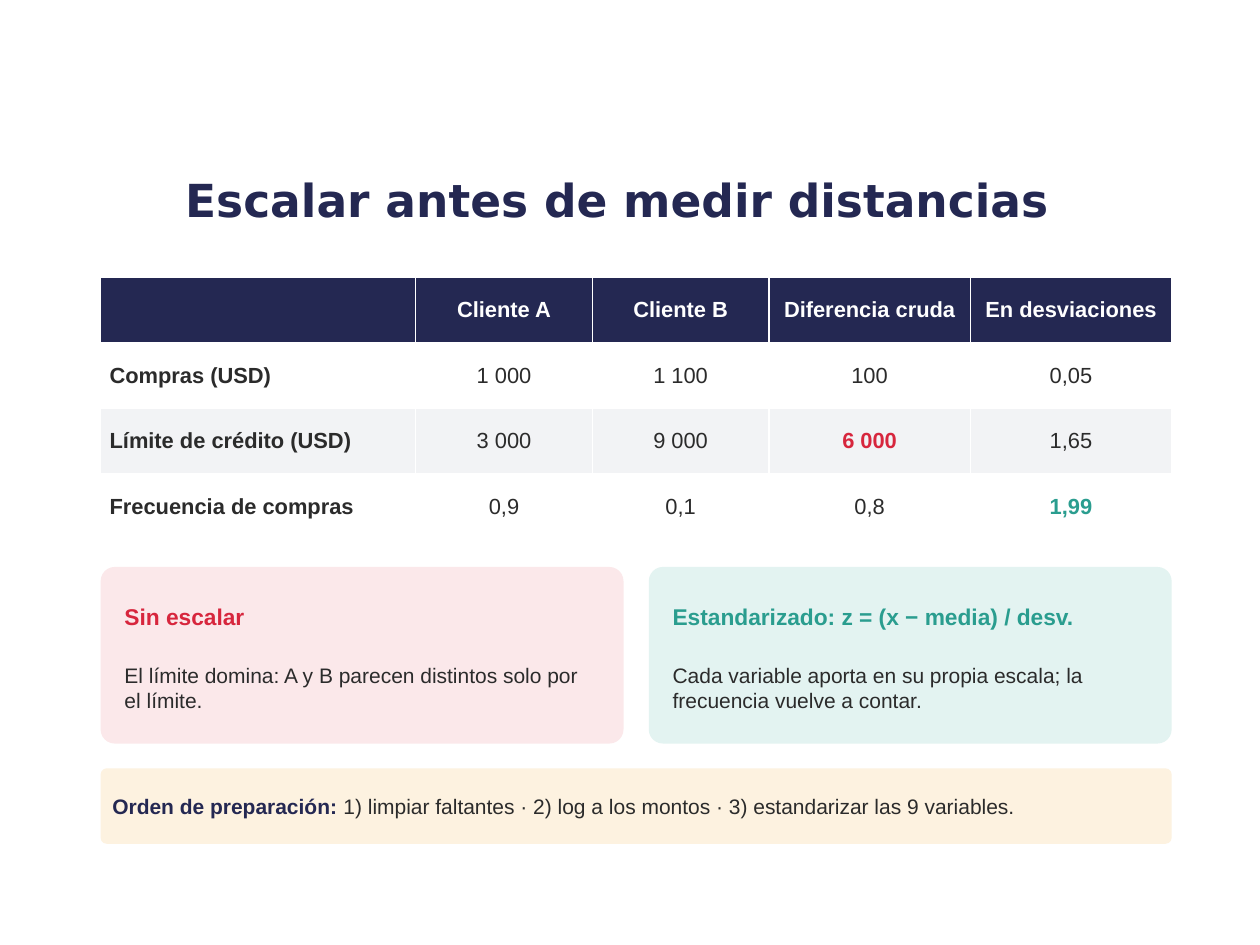
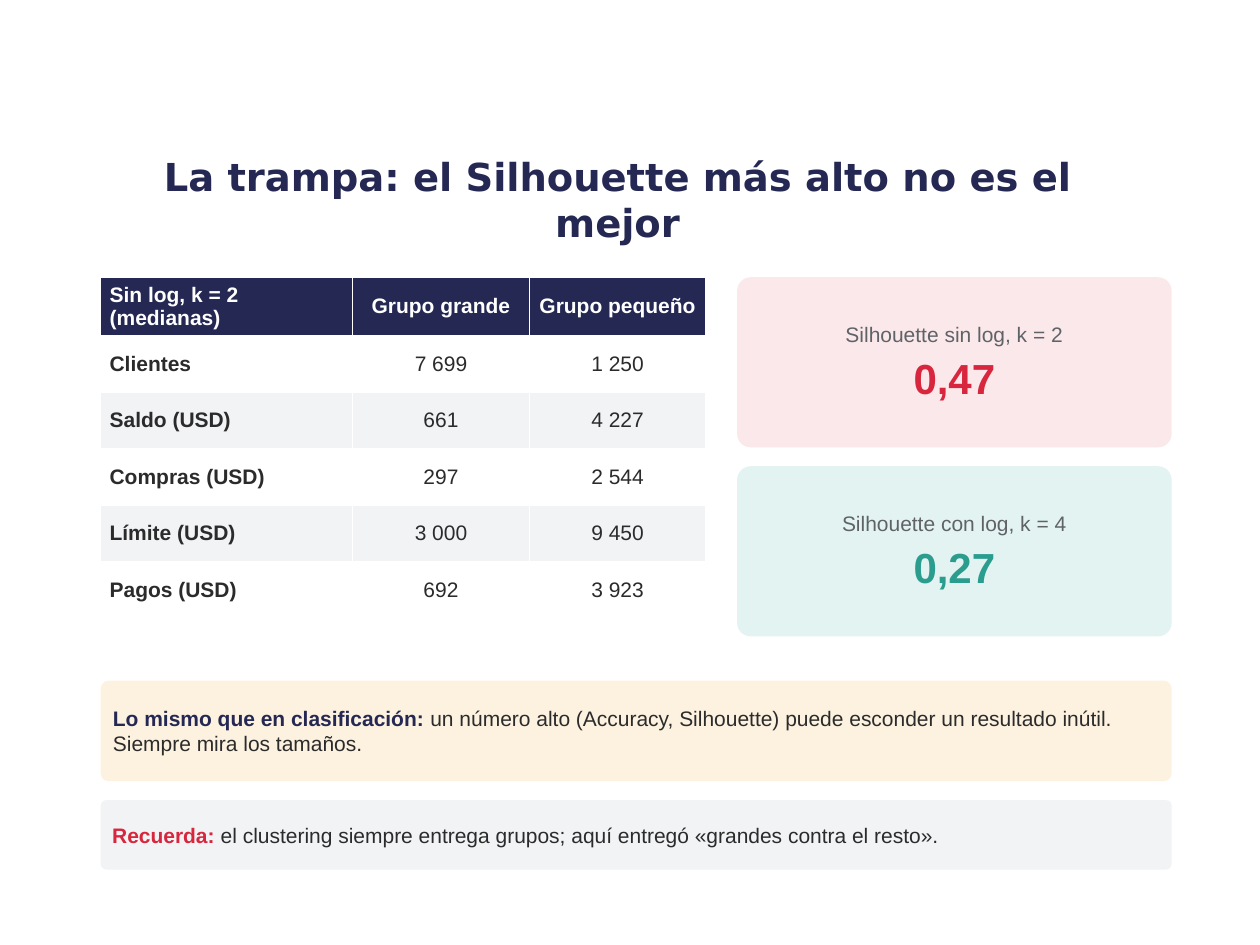
"""Build two slides on scaling variables and on the Silhouette trap."""
from dataclasses import dataclass

from pptx import Presentation
from pptx.dml.color import RGBColor
from pptx.enum.shapes import MSO_SHAPE
from pptx.enum.text import MSO_ANCHOR, MSO_AUTO_SIZE, PP_ALIGN
from pptx.util import Cm, Pt


@dataclass(frozen=True)
class Theme:
    """Colours, fonts, type sizes and shared measures in centimetres."""
    navy: str = "242852"
    ink: str = "2B2B2B"
    muted: str = "5F6368"
    white: str = "FFFFFF"
    grey: str = "F2F3F5"
    red: str = "D7263D"
    pink: str = "FBE8EA"
    teal: str = "2A9D8F"
    mint: str = "E3F3F1"
    cream: str = "FDF2E0"
    title_font: str = "DejaVu Sans"
    body_font: str = "Arial"
    body_size: float = 12
    heading_size: float = 13
    figure_size: float = 24
    left: float = 2.03
    top: float = 5.59
    width: float = 21.59


def write(para, text, font, size, color, bold=False):
    """Add one formatted span to a paragraph."""
    span = para.add_run()
    span.text = text
    span.font.name = font
    span.font.size = Pt(size)
    span.font.bold = bold
    span.font.color.rgb = RGBColor.from_string(color)


def set_margins(target, horizontal, vertical):
    """Set the inner margins of a text frame or a table cell."""
    target.margin_left = target.margin_right = Cm(horizontal)
    target.margin_top = target.margin_bottom = Cm(vertical)


class Slides:
    """Hold the theme and the current page, and add elements to it."""

    def __init__(self, theme):
        """Start an empty deck."""
        self.theme = theme
        self.deck = Presentation()
        self.deck.slide_width, self.deck.slide_height = Cm(25.4), Cm(19.05)
        self.page = None

    def start(self, title, size):
        """Open a new page with its title."""
        self.page = self.deck.slides.add_slide(self.deck.slide_layouts[6])
        frame = self.text_frame(1.91, 3, 21.08, 2.03, margins=(0.25, 0.13))
        para = frame.paragraphs[0]
        para.alignment = PP_ALIGN.CENTER
        write(para, title, self.theme.title_font, size, self.theme.navy, bold=True)

    def text_frame(self, left, top, width, height, margins, anchor=MSO_ANCHOR.MIDDLE):
        """Add a wrapping text box and return its frame."""
        box = self.page.shapes.add_textbox(Cm(left), Cm(top), Cm(width), Cm(height))
        frame = box.text_frame
        frame.word_wrap = True
        frame.vertical_anchor = anchor
        set_margins(frame, *margins)
        return frame

    def label(self, text, left, top, width, height, anchor, **style):
        """Add a one-paragraph text box that grows with its text."""
        frame = self.text_frame(left, top, width, height, (0.1, 0.1), anchor)
        frame.auto_size = MSO_AUTO_SIZE.SHAPE_TO_FIT_TEXT
        para = frame.paragraphs[0]
        para.space_after = Pt(4)
        write(para, text, self.theme.body_font, **style)

    def panel(self, left, top, width, height, fill):
        """Add a rounded panel and return its text frame."""
        box = self.page.shapes.add_shape(
            MSO_SHAPE.ROUNDED_RECTANGLE, Cm(left), Cm(top), Cm(width), Cm(height))
        box.adjustments[0] = 0.08
        box.shadow.inherit = False
        box.fill.solid()
        box.fill.fore_color.rgb = RGBColor.from_string(fill)
        box.line.fill.background()
        frame = box.text_frame
        frame.word_wrap = True
        frame.vertical_anchor = MSO_ANCHOR.MIDDLE
        set_margins(frame, 0.2, 0.2)
        return frame

    def card(self, heading, body, left, color, fill):
        """Add a panel with a coloured heading over body text."""
        theme, top = self.theme, 11.43
        self.panel(left, top, 10.54, 3.56, fill)
        self.label(heading, left + 0.38, top + 0.3, 9.91, 1.4, MSO_ANCHOR.MIDDLE,
                   size=theme.heading_size, color=color, bold=True)
        self.label(body, left + 0.38, top + 1.83, 9.78, 1.52, MSO_ANCHOR.TOP,
                   size=theme.body_size, color=theme.ink)

    def metric(self, caption, figure, top, color, fill):
        """Add a panel with a caption over a large figure."""
        theme = self.theme
        frame = self.panel(14.86, top, 8.76, 3.43, fill)
        lines = ((caption, theme.body_size, theme.muted, False),
                 (figure, theme.figure_size, color, True))
        for para, line in zip((frame.paragraphs[0], frame.add_paragraph()), lines):
            para.alignment = PP_ALIGN.CENTER
            para.space_after = Pt(3)
            write(para, line[0], theme.body_font, *line[1:])

    def note(self, lead, text, top, height, color, fill):
        """Add a full-width band with a bold lead-in."""
        theme = self.theme
        para = self.panel(theme.left, top, theme.width, height, fill).paragraphs[0]
        para.alignment = PP_ALIGN.LEFT
        para.space_after = Pt(3)
        write(para, lead, theme.body_font, theme.body_size, color, bold=True)
        write(para, text, theme.body_font, theme.body_size, theme.ink)

    def table(self, rows, column_widths, row_height, size, accents=None):
        """Add a table; accents maps (row, column) to a highlight colour."""
        theme, accents = self.theme, accents or {}
        grid = self.page.shapes.add_table(
            len(rows), len(column_widths), Cm(theme.left), Cm(theme.top),
            Cm(sum(column_widths)), Cm(row_height * len(rows))).table
        for column, width in zip(grid.columns, column_widths):
            column.width = Cm(width)
        for row_index, values in enumerate(rows):
            grid.rows[row_index].height = Cm(row_height)
            header = row_index == 0
            fill = theme.navy if header else (theme.white, theme.grey)[(row_index + 1) % 2]
            for column_index, value in enumerate(values):
                cell = grid.cell(row_index, column_index)
                cell.fill.solid()
                cell.fill.fore_color.rgb = RGBColor.from_string(fill)
                cell.vertical_anchor = MSO_ANCHOR.MIDDLE
                set_margins(cell, 0.18, 0.08)
                if not value:
                    continue
                accent = accents.get((row_index, column_index))
                para = cell.text_frame.paragraphs[0]
                para.alignment = PP_ALIGN.CENTER if column_index else PP_ALIGN.LEFT
                write(para, value, theme.body_font, size,
                      theme.white if header else accent or theme.ink,
                      bold=header or column_index == 0 or accent is not None)


def add_scaling(slides):
    """Build the slide on scaling before measuring distances."""
    theme = slides.theme
    slides.start("Escalar antes de medir distancias", 26)
    slides.table(
        [("", "Cliente A", "Cliente B", "Diferencia cruda", "En desviaciones"),
         ("Compras (USD)", "1 000", "1 100", "100", "0,05"),
         ("Límite de crédito (USD)", "3 000", "9 000", "6 000", "1,65"),
         ("Frecuencia de compras", "0,9", "0,1", "0,8", "1,99")],
        (6.35, 3.56, 3.56, 4.06, 4.06), 1.32, 12.5,
        accents={(2, 3): theme.red, (3, 4): theme.teal})
    slides.card("Sin escalar",
                "El límite domina: A y B parecen distintos solo por el límite.",
                theme.left, theme.red, theme.pink)
    slides.card("Estandarizado: z = (x − media) / desv.",
                "Cada variable aporta en su propia escala; la frecuencia vuelve a contar.",
                theme.left + 11.05, theme.teal, theme.mint)
    slides.note("Orden de preparación: ",
                "1) limpiar faltantes · 2) log a los montos · 3) estandarizar las 9 variables.",
                15.49, 1.52, theme.navy, theme.cream)


def add_trap(slides):
    """Build the slide on the misleading Silhouette value."""
    theme = slides.theme
    slides.start("La trampa: el Silhouette más alto no es el mejor", 22)
    slides.table(
        [("Sin log, k = 2 (medianas)", "Grupo grande", "Grupo pequeño"),
         ("Clientes", "7 699", "1 250"),
         ("Saldo (USD)", "661", "4 227"),
         ("Compras (USD)", "297", "2 544"),
         ("Límite (USD)", "3 000", "9 450"),
         ("Pagos (USD)", "692", "3 923")],
        (5.08, 3.56, 3.56), 1.14, theme.body_size)
    slides.metric("Silhouette sin log, k = 2", "0,47", theme.top, theme.red, theme.pink)
    slides.metric("Silhouette con log, k = 4", "0,27", theme.top + 3.81,
                  theme.teal, theme.mint)
    slides.note("Lo mismo que en clasificación: ",
                "un número alto (Accuracy, Silhouette) puede esconder un resultado inútil. "
                "Siempre mira los tamaños.",
                13.72, 2.03, theme.navy, theme.cream)
    slides.note("Recuerda: ",
                "el clustering siempre entrega grupos; aquí entregó «grandes contra el resto».",
                16.13, 1.4, theme.red, theme.grey)


def main():
    """Build both slides and save the deck."""
    slides = Slides(Theme())
    add_scaling(slides)
    add_trap(slides)
    slides.deck.save("out.pptx")


if __name__ == "__main__":
    main()
